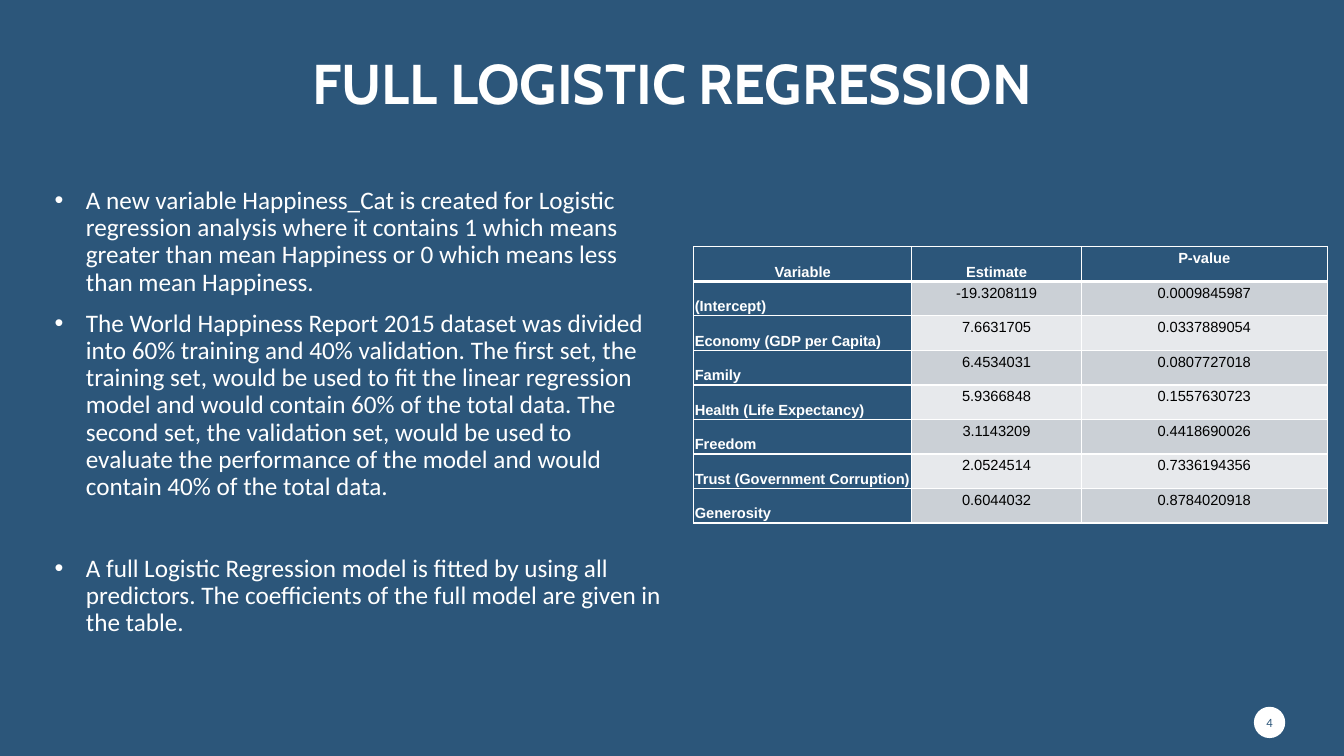
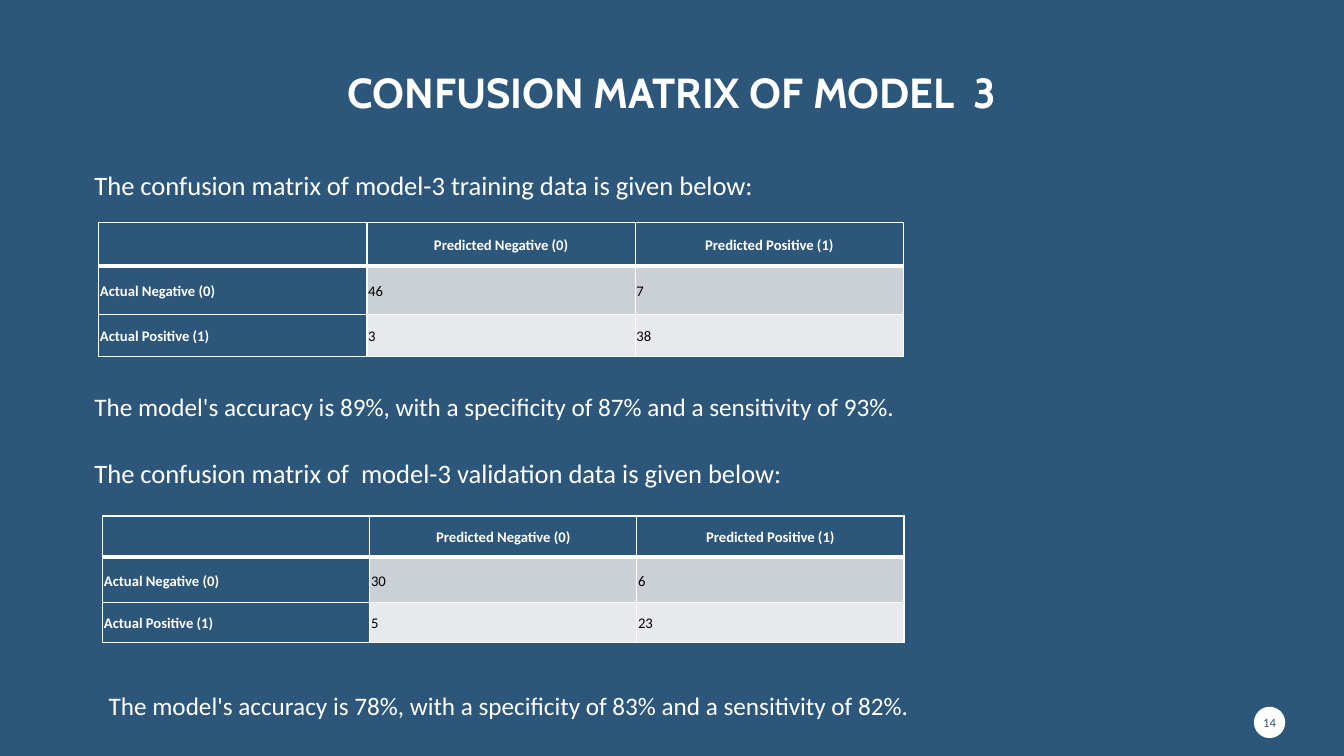
from dataclasses import dataclass

from lxml import etree
from pptx import Presentation
from pptx.dml.color import RGBColor
from pptx.enum.shapes import MSO_SHAPE
from pptx.enum.text import MSO_ANCHOR, MSO_AUTO_SIZE, PP_ALIGN
from pptx.oxml.ns import qn
from pptx.util import Cm, Pt

TOP, MIDDLE, BOTTOM = MSO_ANCHOR.TOP, MSO_ANCHOR.MIDDLE, MSO_ANCHOR.BOTTOM
LEFT, CENTER = PP_ALIGN.LEFT, PP_ALIGN.CENTER
TITLE_AND_CONTENT, TITLE_ONLY = 1, 5


@dataclass(frozen=True)
class Theme:
    blue: str = "2C567A"
    white: str = "FFFFFF"
    black: str = "000000"
    bands: tuple = ("CBD0D6", "E7E9EC")
    title_font: str = "Cabin"
    body_font: str = "Calibri"
    number_font: str = "Arial"
    body: float = 18
    lead: float = 19
    cell: float = 10.5
    page: float = 9
    rule: float = 1
    header_rule: float = 3


T = Theme()

# Text and space before it in points
BULLETS = [
    ("A new variable Happiness_Cat is created for Logistic regression analysis where it "
     "contains 1 which means greater than mean Happiness or 0 which means less than mean "
     "Happiness.", 0),
    ("The World Happiness Report 2015 dataset was divided into 60% training and 40% "
     "validation. The first set, the training set, would be used to fit the linear "
     "regression model and would contain 60% of the total data. The second set, the "
     "validation set, would be used to evaluate the performance of the model and would "
     "contain 40% of the total data.", 10),
    ("A full Logistic Regression model is fitted by using all predictors. The coefficients "
     "of the full model are given in the table.", 39),
]
COEFFICIENTS = [
    ("Variable", "Estimate", "P-value"),
    ("(Intercept)", "-19.3208119", "0.0009845987"),
    ("Economy (GDP per Capita)", "7.6631705", "0.0337889054"),
    ("Family", "6.4534031", "0.0807727018"),
    ("Health (Life Expectancy)", "5.9366848", "0.1557630723"),
    ("Freedom", "3.1143209", "0.4418690026"),
    ("Trust (Government Corruption)", "2.0524514", "0.7336194356"),
    ("Generosity", "0.6044032", "0.8784020918"),
]
# Lengths in centimetres
CONFUSION = [
    dict(lead="The confusion matrix of model-3 training data is given below:",
         lead_at=(2.13, 4.14, 17.83, 1.88),
         counts=[("46", "7"), ("3", "38")],
         table_at=(2.49, 5.61), col=6.76, rows=(1.09, 1.22, 1.07),
         result="The model's accuracy is 89%, with a specificity of 87% and a "
                "sensitivity of 93%.",
         result_at=(2.13, 8.97, 20.93, 1.57)),
    dict(lead="The confusion matrix of  model-3 validation data is given below:",
         lead_at=(2.13, 11.38, 18.11, 1.88),
         counts=[("30", "6"), ("5", "23")],
         table_at=(2.59, 13), col=6.73, rows=(1.04, 1.14, 1.02),
         result="The model's accuracy is 78%, with a specificity of 83% and a "
                "sensitivity of 82%.",
         result_at=(2.49, 16.51, 20.93, 1.57)),
]
CLASSES = ("Negative (0)", "Positive (1)")


def rgb(color):
    return RGBColor.from_string(color)


def place(sp, box):
    sp.left, sp.top, sp.width, sp.height = map(Cm, box)


def style(p, size, font=T.body_font, color=T.white, bold=False, align=LEFT, spacing=1.0):
    p.alignment, p.line_spacing = align, spacing
    for r in p.runs:
        r.font.size, r.font.name, r.font.bold = Pt(size), font, bold
        r.font.color.rgb = rgb(color)


def add_base(prs, layout, title, size, box, page):
    """Add a slide with its title and the numbered page badge."""
    s = prs.slides.add_slide(prs.slide_layouts[layout])
    place(s.shapes.title, box)
    tf = s.shapes.title.text_frame
    tf.text = title
    tf.auto_size, tf.vertical_anchor = MSO_AUTO_SIZE.NONE, BOTTOM
    style(tf.paragraphs[0], size, T.title_font, bold=True, align=CENTER, spacing=0.9)

    badge = s.shapes.add_shape(MSO_SHAPE.OVAL, Cm(31.6), Cm(17.81), Cm(0.79), Cm(0.79))
    badge.shadow.inherit = False
    badge.fill.solid()
    badge.fill.fore_color.rgb = rgb(T.white)
    badge.line.fill.background()
    tf = badge.text_frame
    tf.text = str(page)
    tf.margin_left = tf.margin_right = tf.margin_top = tf.margin_bottom = 0
    tf.vertical_anchor, tf.word_wrap = MIDDLE, False
    style(tf.paragraphs[0], T.page, color=T.blue, align=CENTER)
    return s


def add_text(s, text, size, box, spacing=1.0):
    tf = s.shapes.add_textbox(*map(Cm, box)).text_frame
    tf.word_wrap = True
    tf.text = text
    style(tf.paragraphs[0], size, spacing=spacing)


def add_bullets(sp, items):
    tf = sp.text_frame
    tf.auto_size, tf.vertical_anchor = MSO_AUTO_SIZE.NONE, TOP
    for i, (text, before) in enumerate(items):
        p = tf.paragraphs[0] if i == 0 else tf.add_paragraph()
        p.text = text
        pPr = p._p.get_or_add_pPr()
        pPr.set("marL", str(Cm(0.79)))
        pPr.set("indent", str(-Cm(0.79)))
        color = etree.SubElement(pPr, qn("a:buClr"))
        etree.SubElement(color, qn("a:srgbClr"), val=T.white)
        etree.SubElement(pPr, qn("a:buFont"), typeface="Arial")
        etree.SubElement(pPr, qn("a:buChar"), char="•")
        p.space_before = Pt(before)
        style(p, T.body, spacing=0.9)


def add_borders(cell, row):
    tcPr = cell._tc.get_or_add_tcPr()
    heavy = {0: "lnB", 1: "lnT"}.get(row)
    for side in ("lnL", "lnR", "lnT", "lnB"):
        width = T.header_rule if side == heavy else T.rule
        ln = etree.SubElement(tcPr, qn(f"a:{side}"), w=str(Pt(width)))
        fill = etree.SubElement(ln, qn("a:solidFill"))
        etree.SubElement(fill, qn("a:srgbClr"), val=T.white)


def add_grid(s, data, at, cols, rows, font, value_align, anchor):
    """Add a table; anchor(row, col) gives each cell's vertical position."""
    table = s.shapes.add_table(len(rows), len(cols), *map(Cm, at),
                               Cm(sum(cols)), Cm(sum(rows))).table
    for column, width in zip(table.columns, cols):
        column.width = Cm(width)
    for row, height in zip(table.rows, rows):
        row.height = Cm(height)
    for r, values in enumerate(data):
        for c, value in enumerate(values):
            cell = table.cell(r, c)
            heading = r == 0 or c == 0
            add_borders(cell, r)
            cell.fill.solid()
            cell.fill.fore_color.rgb = rgb(T.blue if heading else T.bands[(r - 1) % 2])
            cell.margin_left = cell.margin_right = Cm(0.03)
            cell.margin_top = cell.margin_bottom = Cm(0.03)
            cell.vertical_anchor = anchor(r, c)
            cell.text_frame.text = value
            align = CENTER if r == 0 else LEFT if c == 0 else value_align
            style(cell.text_frame.paragraphs[0], T.cell, font,
                  T.white if heading else T.black, heading, align, 1.15)


def regression_slide(prs):
    s = add_base(prs, TITLE_AND_CONTENT, "FULL LOGISTIC REGRESSION", 40,
                 (3.18, 1.24, 27.51, 1.83), 4)
    body = s.placeholders[1]
    place(body, (1.12, 4.6, 15.8, 12.57))
    add_bullets(body, BULLETS)
    add_grid(s, COEFFICIENTS, (17.48, 6.22), (5.5, 4.27, 6.2),
             [0.87] * len(COEFFICIENTS), T.number_font, CENTER,
             lambda r, c: BOTTOM if c == 0 or (r, c) == (0, 1) else TOP)


def confusion_slide(prs):
    s = add_base(prs, TITLE_ONLY, "CONFUSION MATRIX OF MODEL  3", 30,
                 (2.9, 1.14, 28.07, 1.96), 14)
    header = ("", *(f"Predicted {name}" for name in CLASSES))
    for m in CONFUSION:
        add_text(s, m["lead"], T.lead, m["lead_at"])
        data = [header] + [(f"Actual {name}", *counts)
                           for name, counts in zip(CLASSES, m["counts"])]
        add_grid(s, data, m["table_at"], [m["col"]] * 3, m["rows"],
                 T.body_font, LEFT, lambda r, c: MIDDLE)
        add_text(s, m["result"], T.body, m["result_at"], spacing=2.0)


def main():
    prs = Presentation()
    prs.slide_width, prs.slide_height = Cm(33.87), Cm(19.05)
    fill = prs.slide_master.background.fill
    fill.solid()
    fill.fore_color.rgb = rgb(T.blue)
    regression_slide(prs)
    confusion_slide(prs)
    prs.save("out.pptx")


if __name__ == "__main__":
    main()
